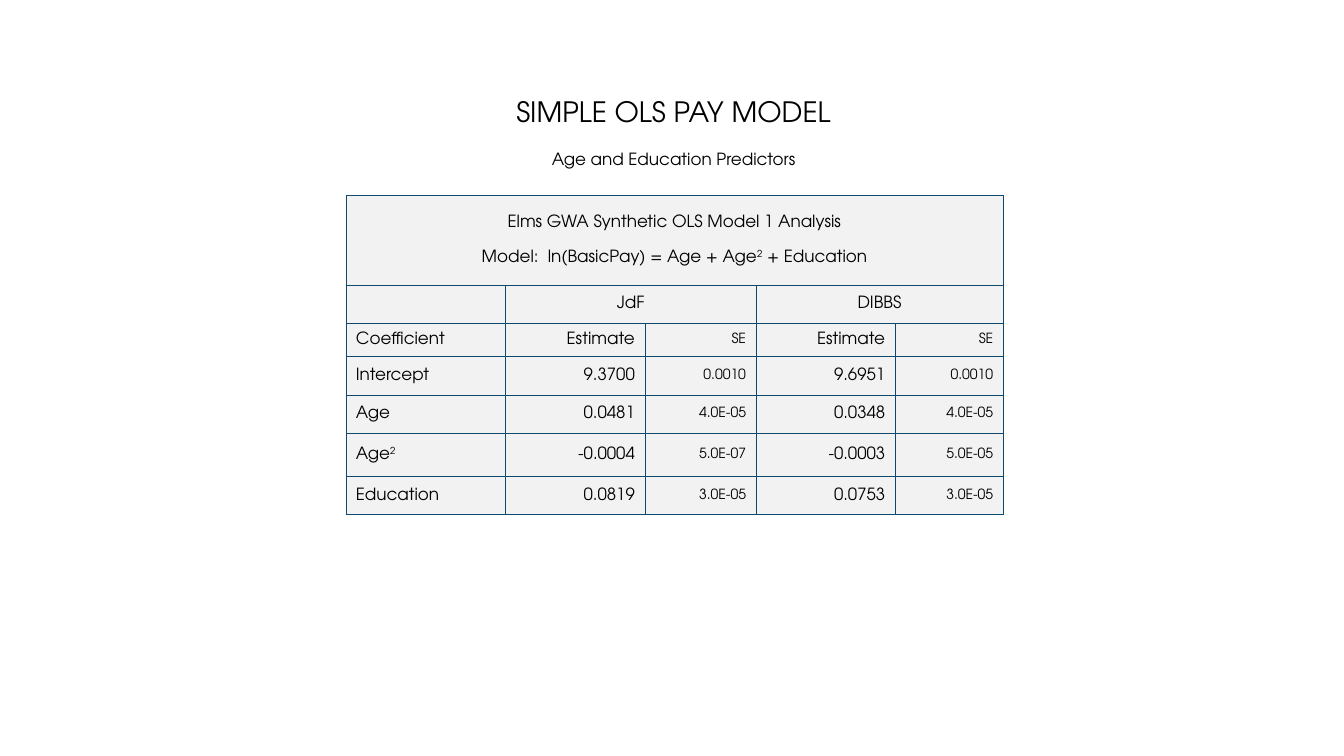
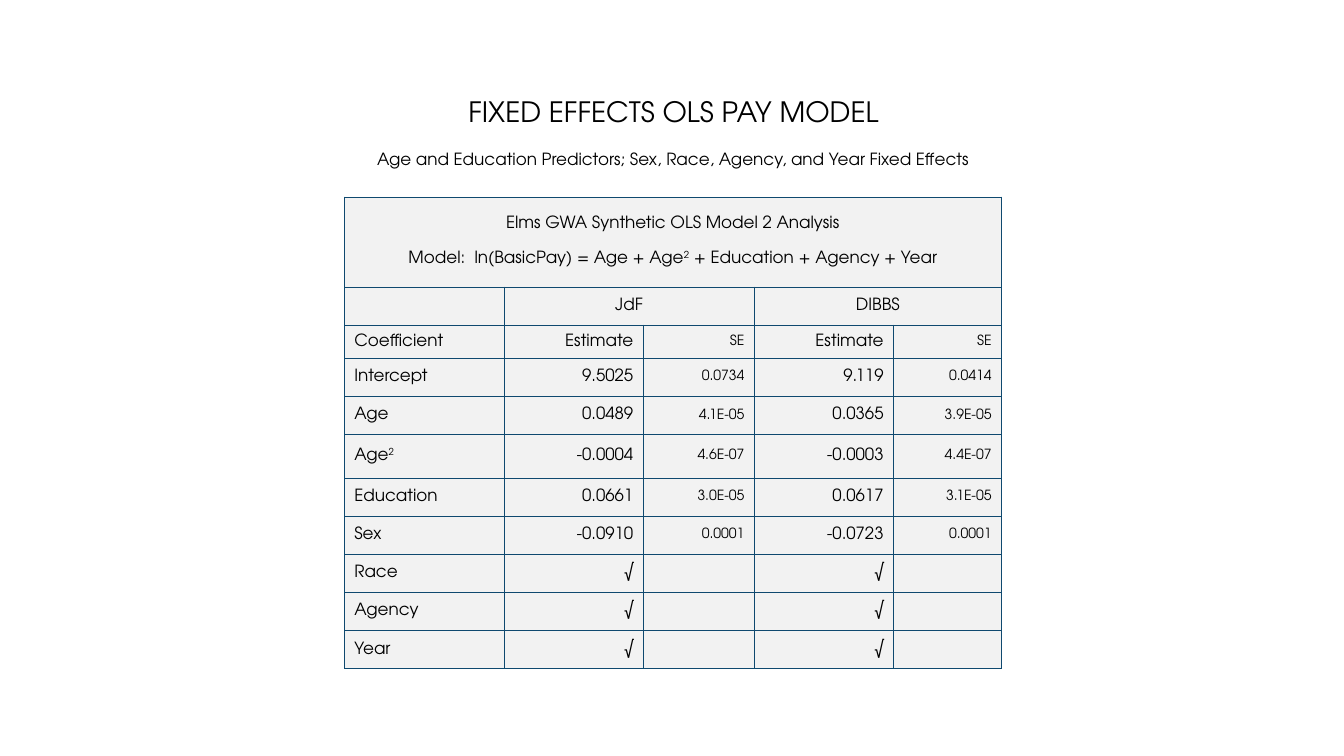
from dataclasses import dataclass

from lxml import etree
from pptx import Presentation
from pptx.dml.color import RGBColor
from pptx.enum import text
from pptx.oxml import ns
from pptx.util import Cm, Pt


@dataclass(frozen=True)
class Theme:
    font: str = "TeX Gyre Adventor"
    ink: str = "000000"
    line: str = "0F496F"
    cell: str = "F2F2F2"
    title_size: int = 20
    text_size: int = 12
    small_size: int = 10
    line_width: float = 0.25


LEFT, CENTER, RIGHT = (text.PP_ALIGN.LEFT, text.PP_ALIGN.CENTER,
                       text.PP_ALIGN.RIGHT)
COLUMN_WIDTHS = (4.02, 3.51, 2.8, 3.51, 2.72)
SE_COLUMNS = (2, 4)
CAPTION_HEIGHTS = (1.37, 0.84, 0.96, 0.84)
ROW_HEIGHT, SQUARED_ROW_HEIGHT = 0.96, 1.1
HEADER = ("Coefficient", "Estimate", "SE", "Estimate", "SE")


class Deck:
    """Holds the theme, the presentation and the current slide."""

    def __init__(self, theme):
        self.theme = theme
        self.presentation = Presentation()
        self.presentation.slide_width = Cm(33.87)
        self.presentation.slide_height = Cm(19.05)
        self.slide = None

    def add_slide(self):
        layout = self.presentation.slide_layouts[0]
        self.slide = self.presentation.slides.add_slide(layout)

    def set_text(self, paragraph, content, size, align):
        """Fill a paragraph; parts between ^ signs are superscript."""
        first, *others = content.split("^")
        paragraph.text = first
        paragraph.alignment = align
        for part in others:
            paragraph.add_run().text = part
        for index, run in enumerate(paragraph.runs):
            run.font.name = self.theme.font
            run.font.size = Pt(size)
            run.font.color.rgb = RGBColor.from_string(self.theme.ink)
            if index % 2:
                run._r.get_or_add_rPr().set("baseline", "30000")

    def fill_placeholder(self, shape, content, size, box, anchor):
        shape.left, shape.top, shape.width, shape.height = map(Cm, box)
        frame = shape.text_frame
        frame.auto_size = text.MSO_AUTO_SIZE.NONE
        frame.vertical_anchor = anchor
        paragraph = frame.paragraphs[0]
        self.set_text(paragraph, content, size, CENTER)
        return paragraph

    def title(self, content):
        self.fill_placeholder(self.slide.shapes.title, content,
                              self.theme.title_size, (1.14, 1.98, 31.67, 1.37),
                              text.MSO_ANCHOR.BOTTOM)

    def subtitle(self, content, left, width):
        paragraph = self.fill_placeholder(
            self.slide.placeholders[1], content, self.theme.text_size,
            (left, 3.61, width, 1.02), text.MSO_ANCHOR.TOP)
        paragraph.space_before = Pt(2.4)
        paragraph.space_after = Pt(6)

    def style_cell(self, cell, hidden_side=None):
        """Set the fill and the four borders, leaving out the hidden side."""
        properties = cell._tc.get_or_add_tcPr()
        for index, side in enumerate("LRTB"):
            border = etree.Element(ns.qn(f"a:ln{side}"),
                                   w=str(Pt(self.theme.line_width)))
            properties.insert(index, border)
            if side == hidden_side:
                etree.SubElement(border, ns.qn("a:noFill"))
            else:
                fill = etree.SubElement(border, ns.qn("a:solidFill"))
                etree.SubElement(fill, ns.qn("a:srgbClr"), val=self.theme.line)
        cell.fill.solid()
        cell.fill.fore_color.rgb = RGBColor.from_string(self.theme.cell)

    def fill_cell(self, cell, content, size, align, side=0.25, bottom=0):
        cell.margin_left = cell.margin_right = Cm(side)
        cell.margin_top, cell.margin_bottom = 0, Cm(bottom)
        cell.vertical_anchor = text.MSO_ANCHOR.MIDDLE
        if content:
            self.set_text(cell.text_frame.paragraphs[0], content, size, align)

    def model_table(self, caption, model, coefficients, left, top):
        theme = self.theme
        rows = [(caption,), (model,), ("", "JdF", "", "DIBBS"),
                HEADER, *coefficients]
        heights = [*CAPTION_HEIGHTS,
                   *(SQUARED_ROW_HEIGHT if "^" in row[0] else ROW_HEIGHT
                     for row in coefficients)]
        table = self.slide.shapes.add_table(
            len(rows), len(COLUMN_WIDTHS), Cm(left), Cm(top),
            Cm(sum(COLUMN_WIDTHS)), Cm(sum(heights))).table
        table.first_row = table.horz_banding = False
        for column, width in zip(table.columns, COLUMN_WIDTHS):
            column.width = Cm(width)
        for row, height in zip(table.rows, heights):
            row.height = Cm(height)

        for y, row in enumerate(rows):
            is_caption = y < 3
            for x in range(len(COLUMN_WIDTHS)):
                cell = table.cell(y, x)
                self.style_cell(cell, {0: "B", 1: "T"}.get(y))
                content = row[x] if x < len(row) else ""
                if is_caption:
                    self.fill_cell(cell, content, theme.text_size, CENTER,
                                   side=0.5, bottom=0.5 if y == 1 else 0)
                else:
                    size = (theme.small_size if x in SE_COLUMNS
                            else theme.text_size)
                    self.fill_cell(cell, content, size, RIGHT if x else LEFT)

        for y, first, last in ((0, 0, 4), (1, 0, 4), (2, 1, 2), (2, 3, 4)):
            table.cell(y, first).merge(table.cell(y, last))


def simple_model(deck):
    deck.add_slide()
    deck.title("SIMPLE OLS PAY MODEL")
    deck.subtitle("Age and Education Predictors", left=10.92, width=12.12)
    deck.model_table(
        "Elms GWA Synthetic OLS Model 1 Analysis",
        "Model:  ln(BasicPay) = Age + Age^2^ + Education",
        [("Intercept", "9.3700", "0.0010", "9.6951", "0.0010"),
         ("Age", "0.0481", "4.0E-05", "0.0348", "4.0E-05"),
         ("Age^2", "-0.0004", "5.0E-07", "-0.0003", "5.0E-05"),
         ("Education", "0.0819", "3.0E-05", "0.0753", "3.0E-05")],
        left=8.72, top=4.92)


def fixed_effects_model(deck):
    deck.add_slide()
    deck.title("FIXED EFFECTS OLS PAY MODEL")
    deck.subtitle("Age and Education Predictors; Sex, Race, Agency, "
                  "and Year Fixed Effects", left=6.6, width=20.73)
    fixed_effects = [(name, "√", "", "√", "")
                     for name in ("Race", "Agency", "Year")]
    deck.model_table(
        "Elms GWA Synthetic OLS Model 2 Analysis",
        "Model:  ln(BasicPay) = Age + Age^2^ + Education + Agency + Year",
        [("Intercept", "9.5025", "0.0734", "9.119", "0.0414"),
         ("Age", "0.0489", "4.1E-05", "0.0365", "3.9E-05"),
         ("Age^2", "-0.0004", "4.6E-07", "-0.0003", "4.4E-07"),
         ("Education", "0.0661", "3.0E-05", "0.0617", "3.1E-05"),
         ("Sex", "-0.0910", "0.0001", "-0.0723", "0.0001"),
         *fixed_effects],
        left=8.68, top=4.96)


def main():
    deck = Deck(Theme())
    simple_model(deck)
    fixed_effects_model(deck)
    deck.presentation.save("out.pptx")


if __name__ == "__main__":
    main()
